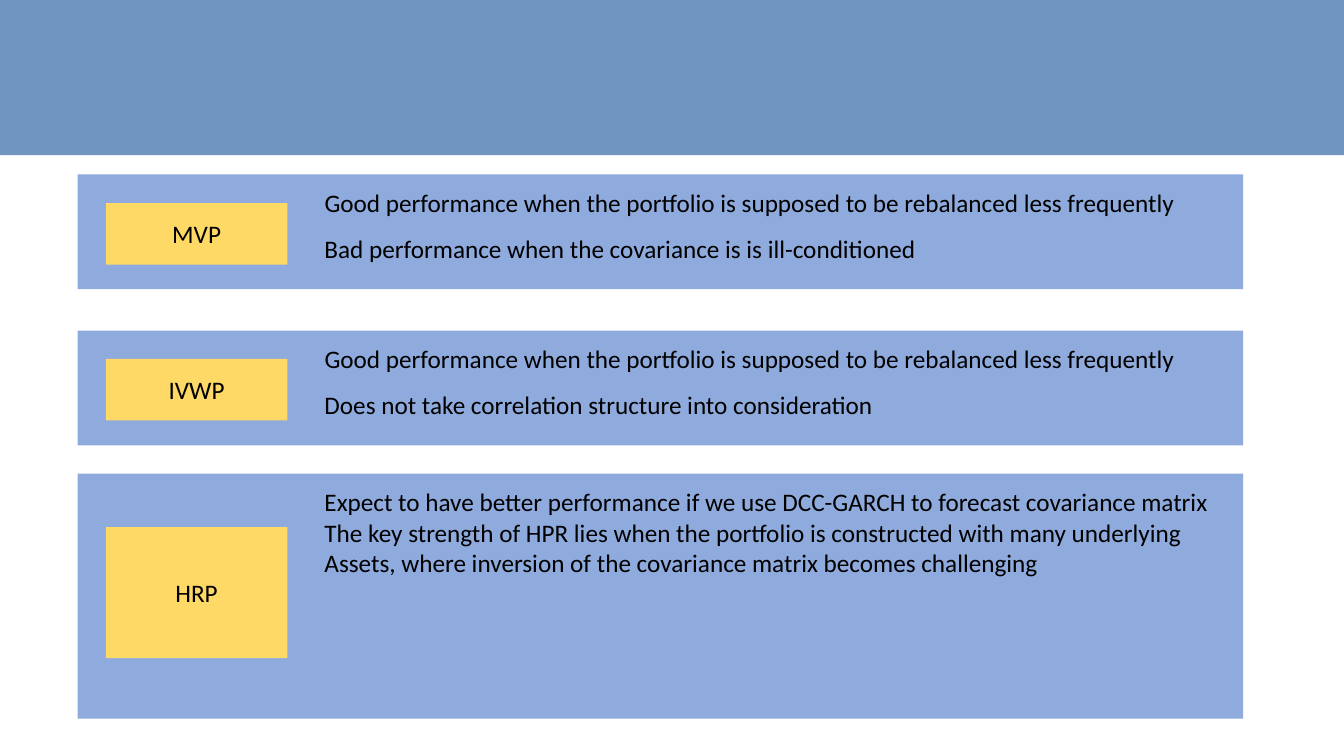
"""Build a slide that compares three portfolio methods."""
from pptx import Presentation
from pptx import util as u
from pptx.dml.color import RGBColor
from pptx.enum import shapes, text


def add_block(left, top, width, height, colour):
    block = page.shapes.add_shape(
        shapes.MSO_SHAPE.RECTANGLE,
        u.Inches(left), u.Inches(top), u.Inches(width), u.Inches(height))
    block.shadow.inherit = False
    block.fill.solid()
    block.fill.fore_color.rgb = RGBColor.from_string(colour)
    block.line.fill.background()
    return block


def add_line(para, words):
    span = para.add_run()
    span.text = words
    span.font.name = "Calibri"
    span.font.size = u.Pt(18)
    span.font.color.rgb = RGBColor.from_string("000000")


deck = Presentation()
deck.slide_width = u.Inches(13.33)
deck.slide_height = u.Inches(7.5)
page = deck.slides.add_slide(deck.slide_layouts[6])

add_block(0, 0, 13.33, 1.54, "7195C1")

REBALANCING = "Good performance when the portfolio is supposed to be rebalanced less frequently"
# name, panel top and height, label offset and height, notes as (width, height, lines)
methods = [
    ("MVP", 1.73, 1.14, 0.285, 0.61, [
        (8.75, 0.4, [REBALANCING]),
        (6.14, 0.4, ["Bad performance when the covariance is is ill-conditioned"]),
    ]),
    ("IVWP", 3.28, 1.14, 0.28, 0.61, [
        (8.75, 0.4, [REBALANCING]),
        (5.7, 0.4, ["Does not take correlation structure into consideration"]),
    ]),
    ("HRP", 4.7, 2.43, 0.53, 1.3, [
        (9.07, 1.01, [
            "Expect to have better performance if we use DCC-GARCH to forecast covariance matrix",
            "The key strength of HPR lies when the portfolio is constructed with many underlying",
            "Assets, where inversion of the covariance matrix becomes challenging",
        ]),
    ]),
]

for name, top, height, label_offset, label_height, notes in methods:
    add_block(0.77, top, 11.56, height, "8FAADC")

    label = add_block(1.05, top + label_offset, 1.8, label_height, "FFD966").text_frame
    label.vertical_anchor = text.MSO_ANCHOR.MIDDLE
    label.paragraphs[0].alignment = text.PP_ALIGN.CENTER
    add_line(label.paragraphs[0], name)

    for row, (note_width, note_height, lines) in enumerate(notes):
        box = page.shapes.add_textbox(
            u.Inches(3.12), u.Inches(top + 0.08 + row * 0.455),
            u.Inches(note_width), u.Inches(note_height))
        frame = box.text_frame
        frame.word_wrap = False
        frame.auto_size = text.MSO_AUTO_SIZE.SHAPE_TO_FIT_TEXT
        for index, words in enumerate(lines):
            para = frame.add_paragraph() if index else frame.paragraphs[0]
            add_line(para, words)

deck.save("out.pptx")
